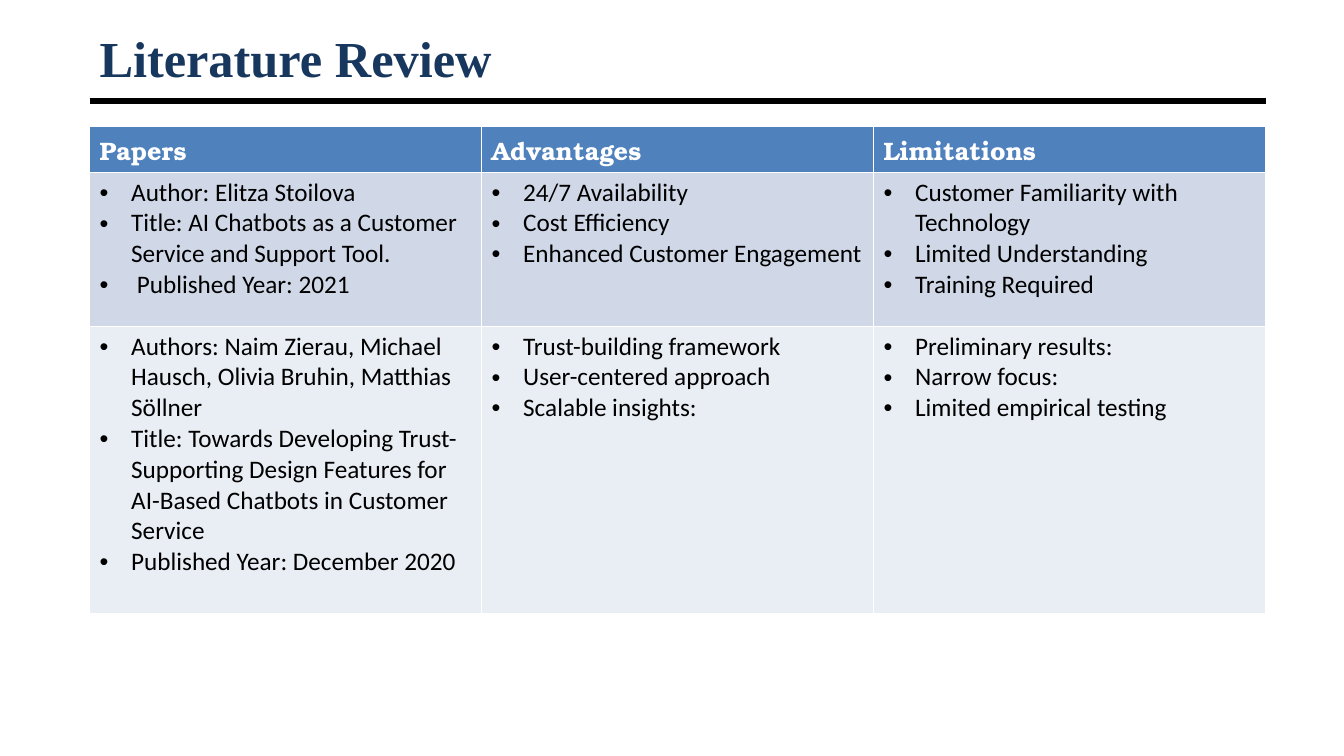
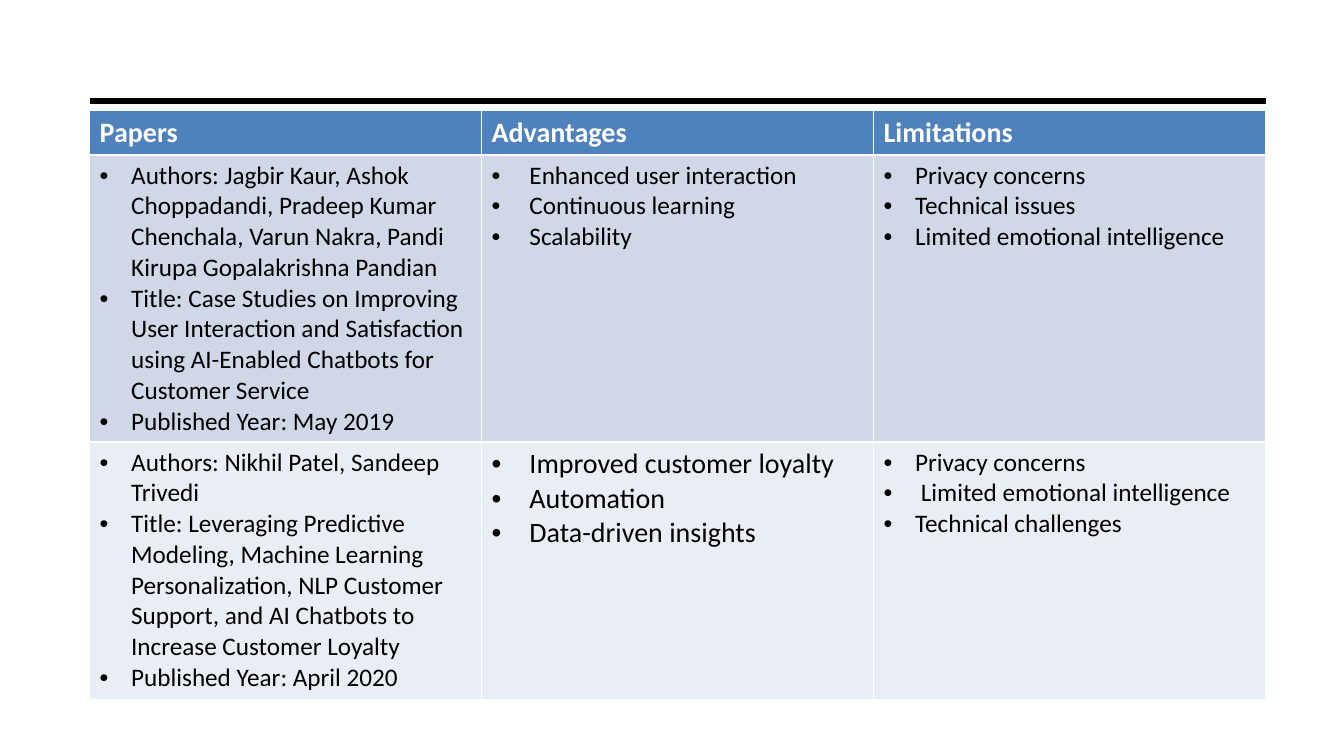
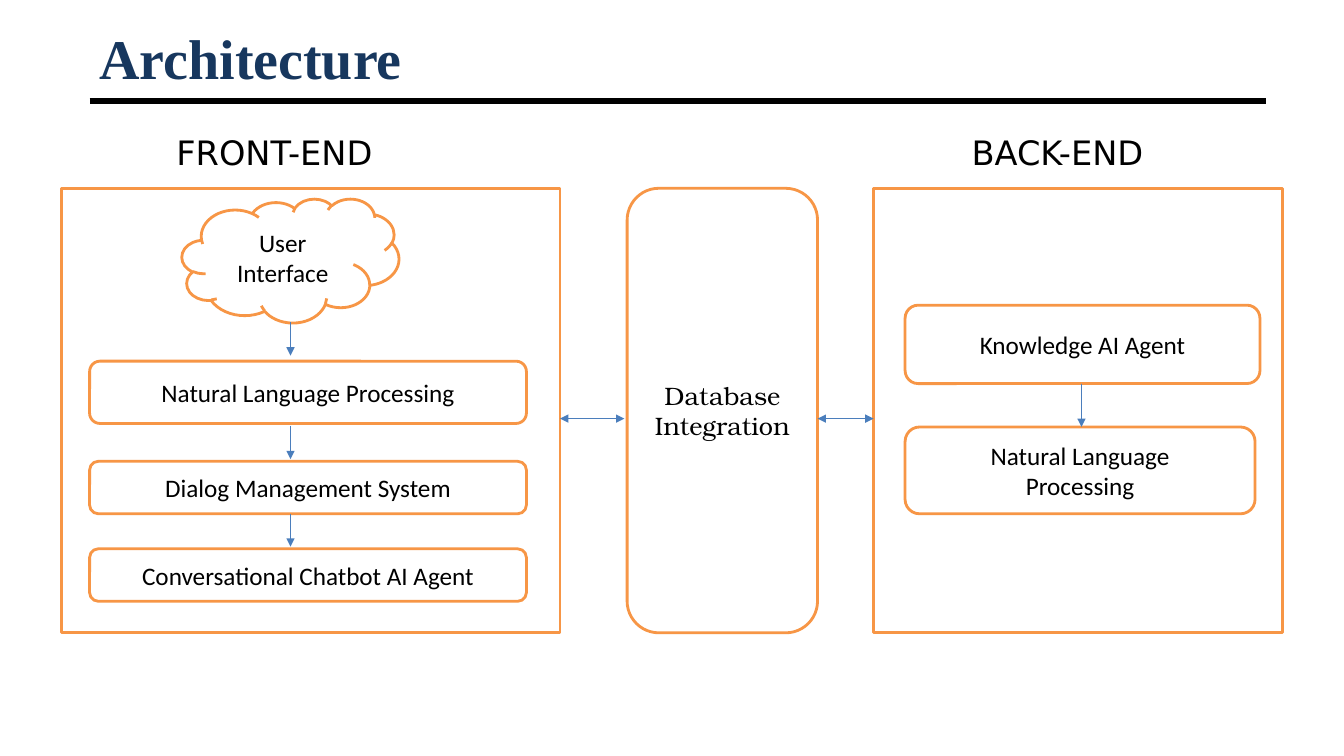
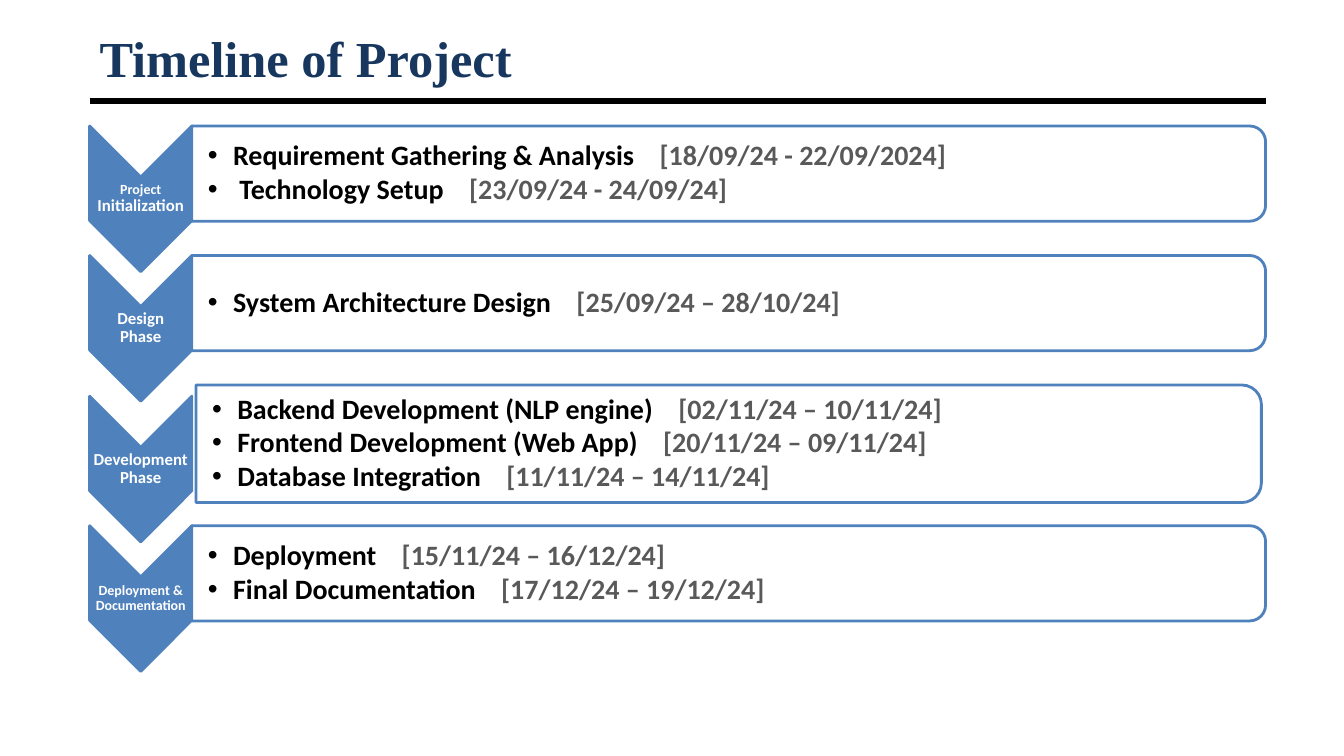
from lxml.etree import SubElement
from pptx import Presentation
from pptx.dml.color import RGBColor
from pptx.enum.shapes import MSO_CONNECTOR, MSO_SHAPE
from pptx.enum.text import MSO_ANCHOR, PP_ALIGN
from pptx.oxml.ns import qn
from pptx.util import Pt

BLACK = RGBColor(0x00, 0x00, 0x00)
WHITE = RGBColor(0xFF, 0xFF, 0xFF)
NAVY = RGBColor(0x17, 0x37, 0x5E)
BLUE = RGBColor(0x4F, 0x81, 0xBD)
ARROW_BLUE = RGBColor(0x4B, 0x7E, 0xBC)
ORANGE = RGBColor(0xF7, 0x96, 0x46)
GREY = RGBColor(0x59, 0x59, 0x59)
ROW_FILLS = (BLUE, RGBColor(0xD0, 0xD8, 0xE8), RGBColor(0xE9, 0xED, 0xF4))

LEFT, WIDTH = 64, 840
BODY_FONT, SERIF_FONT = "Calibri", "TeX Gyre Bonum"


def style(paragraph, size, colour, font=BODY_FONT, bold=False,
          align=PP_ALIGN.LEFT, bullet_indent=None):
    """Format every run; a bullet_indent also gives the paragraph a hanging bullet."""
    paragraph.alignment = align
    for run in paragraph.runs:
        run.font.size = Pt(size)
        run.font.name = font
        run.font.bold = bold
        run.font.color.rgb = colour
    if bullet_indent:
        properties = paragraph._p.get_or_add_pPr()
        properties.set("marL", str(Pt(bullet_indent)))
        properties.set("indent", str(-Pt(bullet_indent)))
        SubElement(properties, qn("a:buFont"), typeface="Arial")
        SubElement(properties, qn("a:buChar"), char="•")


def add_line(slide, start, end, colour, width, arrow_ends=()):
    line = slide.shapes.add_connector(
        MSO_CONNECTOR.STRAIGHT, *(Pt(value) for value in start + end))
    line.line.color.rgb = colour
    line.line.width = Pt(width)
    for arrow_end in arrow_ends:
        SubElement(line.line._get_or_add_ln(), qn(f"a:{arrow_end}"), type="triangle")
    SubElement(line._element.spPr, qn("a:effectLst"))


deck = Presentation()
deck.slide_width, deck.slide_height = Pt(960), Pt(540)

# Shared title and rule
slides = []
for heading, size in (("Literature Review", 36), (None, 36),
                      ("Architecture", 40), ("Timeline of Project", 36)):
    slide = deck.slides.add_slide(deck.slide_layouts[6])
    slides.append(slide)
    add_line(slide, (LEFT, 72), (LEFT + WIDTH, 72), BLACK, 4.5)
    if heading:
        title = slide.shapes.add_textbox(Pt(LEFT), Pt(22), Pt(WIDTH), Pt(38))
        title.text_frame.word_wrap = True
        title.text_frame.vertical_anchor = MSO_ANCHOR.MIDDLE
        title.text_frame.text = heading
        style(title.text_frame.paragraphs[0], size, NAVY, "Times New Roman", True)
first_review, second_review, architecture, timeline = slides

# Literature tables: slide, top, row heights, header font, bullet indents, rows with sizes
COLUMNS = ("Papers", "Advantages", "Limitations")
reviews = (
    (first_review, 90, (33, 110, 205), SERIF_FONT, (22.5, 22.5, 22.5), (
        (COLUMNS, (18, 18, 18)),
        (("Author: Elitza Stoilova\n"
          "Title: AI Chatbots as a Customer Service and Support Tool.\n"
          " Published Year: 2021",
          "24/7 Availability\nCost Efficiency\nEnhanced Customer Engagement",
          "Customer Familiarity with Technology\nLimited Understanding\nTraining Required"),
         (18, 18, 18)),
        (("Authors: Naim Zierau, Michael Hausch, Olivia Bruhin, Matthias Söllner\n"
          "Title: Towards Developing Trust-Supporting Design Features for "
          "AI-Based Chatbots in Customer Service\n"
          "Published Year: December 2020",
          "Trust-building framework\nUser-centered approach\nScalable insights:",
          "Preliminary results:\nNarrow focus:\nLimited empirical testing"),
         (18, 18, 18)),
    )),
    (second_review, 79, (31, 205, 184), BODY_FONT, (22.5, 27, 22.5), (
        (COLUMNS, (20, 20, 20)),
        (("Authors: Jagbir Kaur, Ashok Choppadandi, Pradeep Kumar Chenchala, "
          "Varun Nakra, Pandi Kirupa Gopalakrishna Pandian\n"
          "Title: Case Studies on Improving User Interaction and Satisfaction "
          "using AI-Enabled Chatbots for Customer Service\n"
          "Published Year: May 2019",
          "Enhanced user interaction\nContinuous learning\nScalability",
          "Privacy concerns\nTechnical issues\nLimited emotional intelligence"),
         (18, 18, 18)),
        (("Authors: Nikhil Patel, Sandeep Trivedi\n"
          "Title: Leveraging Predictive Modeling, Machine Learning Personalization, "
          "NLP Customer Support, and AI Chatbots to Increase Customer Loyalty\n"
          "Published Year: April 2020",
          "Improved customer loyalty\nAutomation\nData-driven insights",
          "Privacy concerns\n Limited emotional intelligence\nTechnical challenges"),
         (18, 20, 18)),
    )),
)
for slide, top, heights, header_font, indents, rows in reviews:
    papers = slide.shapes.add_table(
        len(rows), len(COLUMNS), Pt(LEFT), Pt(top), Pt(WIDTH), Pt(sum(heights))).table
    for row_index, (texts, sizes) in enumerate(rows):
        papers.rows[row_index].height = Pt(heights[row_index])
        for column_index, text in enumerate(texts):
            cell = papers.cell(row_index, column_index)
            cell.fill.solid()
            cell.fill.fore_color.rgb = ROW_FILLS[row_index]
            cell.text_frame.text = text
            for paragraph in cell.text_frame.paragraphs:
                if row_index == 0:
                    style(paragraph, sizes[column_index], WHITE, header_font, True)
                else:
                    style(paragraph, sizes[column_index], BLACK,
                          bullet_indent=indents[column_index])

# Architecture diagram
for side, left in (("FRONT-END", 126), ("BACK-END", 694)):
    caption = architecture.shapes.add_textbox(Pt(left), Pt(94), Pt(180), Pt(28))
    frame = caption.text_frame
    frame.word_wrap = True
    frame.margin_left = frame.margin_top = frame.margin_right = frame.margin_bottom = 0
    frame.text = side
    style(frame.paragraphs[0], 24, BLACK, "DejaVu Sans")

PANEL_TOP, PANEL_HEIGHT = 134.5, 317.5
components = (
    (MSO_SHAPE.RECTANGLE, 44, PANEL_TOP, 356, PANEL_HEIGHT, "", BODY_FONT),
    (MSO_SHAPE.CLOUD, 130, 142, 155, 88.5, "User Interface", BODY_FONT),
    (MSO_SHAPE.ROUNDED_RECTANGLE, 64, 258, 312, 44.5,
     "Natural Language Processing", BODY_FONT),
    (MSO_SHAPE.ROUNDED_RECTANGLE, 64, 329.5, 312, 37.5,
     "Dialog Management System", BODY_FONT),
    (MSO_SHAPE.ROUNDED_RECTANGLE, 64, 392, 312, 37.5,
     "Conversational Chatbot AI Agent", BODY_FONT),
    (MSO_SHAPE.RECTANGLE, 624, PANEL_TOP, 292, PANEL_HEIGHT, "", BODY_FONT),
    (MSO_SHAPE.ROUNDED_RECTANGLE, 448, PANEL_TOP, 136, PANEL_HEIGHT,
     "Database\nIntegration", SERIF_FONT),
    (MSO_SHAPE.ROUNDED_RECTANGLE, 646.5, 218, 253.5, 56, "Knowledge AI Agent", BODY_FONT),
    (MSO_SHAPE.ROUNDED_RECTANGLE, 646.5, 305, 250, 62,
     "Natural Language\nProcessing", BODY_FONT),
)
for preset, left, top, width, height, text, font in components:
    component = architecture.shapes.add_shape(
        preset, Pt(left), Pt(top), Pt(width), Pt(height))
    component.shadow.inherit = False
    component.fill.solid()
    component.fill.fore_color.rgb = WHITE
    component.line.color.rgb = ORANGE
    component.line.width = Pt(2)
    if text:
        component.text_frame.text = text
        for paragraph in component.text_frame.paragraphs:
            style(paragraph, 18, BLACK, font, align=PP_ALIGN.CENTER)

for x, top, bottom in ((207.5, 230, 254), (207.5, 304, 328),
                       (207.5, 367, 390.5), (772.5, 274, 305)):
    add_line(architecture, (x, top), (x, bottom), ARROW_BLUE, 0.75, ("tailEnd",))
for left, right in ((400, 446), (584, 624)):
    add_line(architecture, (left, 299), (right, 299), ARROW_BLUE, 0.75,
             ("headEnd", "tailEnd"))

# Timeline: label, label sizes, panel centre, panel left, right and height, tasks
phases = (
    ("Project\vInitialization", (10, 12), 124, 137, 904, 68, (
        ("Requirement Gathering & Analysis", "[18/09/24 - 22/09/2024]"),
        (" Technology Setup", "[23/09/24 - 24/09/24]"))),
    ("Design\vPhase", (12, 12), 216.5, 137, 904, 68, (
        ("System Architecture Design", "[25/09/24 – 28/10/24]"),)),
    ("Development\vPhase", (12, 12), 317, 140, 901, 84, (
        ("Backend Development (NLP engine)", "[02/11/24 – 10/11/24]"),
        ("Frontend Development (Web App)", "[20/11/24 – 09/11/24]"),
        ("Database Integration", "[11/11/24 – 14/11/24]"))),
    ("Deployment &\vDocumentation", (10, 10), 409.5, 137, 904, 68, (
        ("Deployment", "[15/11/24 – 16/12/24]"),
        ("Final Documentation", "[17/12/24 – 19/12/24]"))),
)
CHEVRON_LENGTH, CHEVRON_WIDTH, CHEVRON_DROP = 104, 73, 18
LABEL_HEIGHT = 31
DATE_GAP = 13.5

for label, label_sizes, centre, left, right, height, tasks in phases:
    width = right - left
    chevron_x, chevron_y = LEFT + CHEVRON_WIDTH / 2, centre + CHEVRON_DROP
    # Both outlines are turned by 90 degrees about their centres
    for preset, x, y, length, breadth, fill in (
            (MSO_SHAPE.CHEVRON, chevron_x, chevron_y,
             CHEVRON_LENGTH, CHEVRON_WIDTH, BLUE),
            (MSO_SHAPE.ROUND_2_SAME_RECTANGLE, left + width / 2, centre,
             height, width, WHITE)):
        outline = timeline.shapes.add_shape(
            preset, Pt(x - length / 2), Pt(y - breadth / 2), Pt(length), Pt(breadth))
        outline.rotation = 90
        outline.shadow.inherit = False
        outline.fill.solid()
        outline.fill.fore_color.rgb = fill
        outline.line.color.rgb = BLUE
        outline.line.width = Pt(2)

    phase_name = timeline.shapes.add_textbox(
        Pt(LEFT), Pt(chevron_y - LABEL_HEIGHT / 2), Pt(CHEVRON_WIDTH), Pt(LABEL_HEIGHT))
    task_list = timeline.shapes.add_textbox(
        Pt(left), Pt(centre - height / 2), Pt(width), Pt(height))
    for frame, inset in ((phase_name.text_frame, 0.7), (task_list.text_frame, 11.5)):
        frame.word_wrap = True
        frame.vertical_anchor = MSO_ANCHOR.MIDDLE
        frame.margin_left = Pt(inset)
        frame.margin_top = frame.margin_right = frame.margin_bottom = Pt(0.7)

    phase_name.text_frame.text = label
    paragraph = phase_name.text_frame.paragraphs[0]
    paragraph.line_spacing = 0.9
    style(paragraph, 12, WHITE, bold=True, align=PP_ALIGN.CENTER)
    for run, size in zip(paragraph.runs, label_sizes):
        run.font.size = Pt(size)

    task_list.text_frame.text = "\n".join(task for task, dates in tasks)
    for paragraph, (task, dates) in zip(task_list.text_frame.paragraphs, tasks):
        gap, period = paragraph.add_run(), paragraph.add_run()
        gap.text, period.text = " ", dates
        paragraph.line_spacing = 0.9
        paragraph.space_after = Pt(2.4)
        style(paragraph, 20, BLACK, bold=True, bullet_indent=18)
        gap.font._element.set("spc", str(int(DATE_GAP * 100)))
        period.font.color.rgb = GREY

deck.save("out.pptx")
